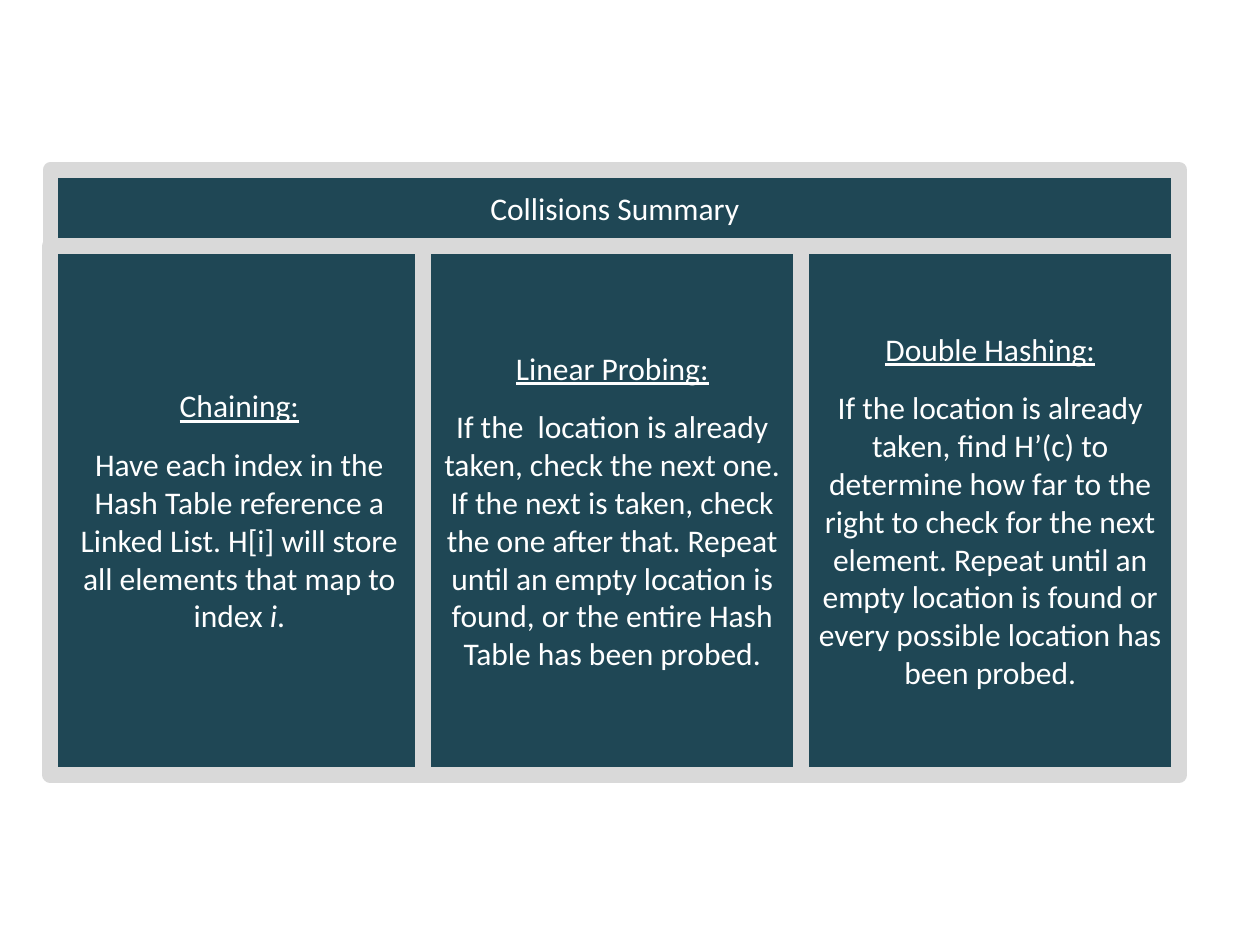
from pptx import Presentation
from pptx.dml.color import RGBColor
from pptx.enum import shapes, text
from pptx.util import Inches, Pt

NAVY, GRAY, WHITE = "1F4755", "D9D9D9", "FFFFFF"
LEFT, TOP, WIDTH = 0.4, 1.35, 8.96
HEADER_H, PANEL_W, PANEL_H = 0.6, 3, 4.2

PANELS = [
    (LEFT, "Chaining:",
     [("Have each index in the Hash Table reference a Linked List. "
       "H[i] will store all elements that map to index ", False),
      ("i", True), (".", False)]),
    (LEFT + WIDTH - 2 * PANEL_W, "Linear Probing:",
     [("If the  location is already taken, check the next one. "
       "If the next is taken, check the one after that. Repeat until an "
       "empty location is found, or the entire Hash Table has been probed.",
       False)]),
    (LEFT + WIDTH - PANEL_W, "Double Hashing:",
     [("If the location is already taken, find H’(c) to determine how far "
       "to the right to check for the next element. Repeat until an empty "
       "location is found or every possible location has been probed.",
       False)]),
]


def rgb(value):
    return RGBColor.from_string(value)


def style_box(sp):
    sp.fill.solid()
    sp.fill.fore_color.rgb = rgb(NAVY)
    sp.line.color.rgb = rgb(GRAY)
    sp.line.width = Pt(9)
    tf = sp.text_frame
    tf.word_wrap = True
    tf.auto_size = text.MSO_AUTO_SIZE.NONE
    tf.vertical_anchor = text.MSO_ANCHOR.MIDDLE
    return tf


def style_paragraph(p):
    p.alignment = text.PP_ALIGN.CENTER
    p.font.name = "Calibri"
    p.font.size = Pt(18)
    p.font.color.rgb = rgb(WHITE)


def add_header(s, title):
    sp = s.shapes.title
    sp.left, sp.top = Inches(LEFT), Inches(TOP)
    sp.width, sp.height = Inches(WIDTH), Inches(HEADER_H)
    p = style_box(sp).paragraphs[0]
    p.text = title
    style_paragraph(p)


def add_panel(s, left, heading, body):
    sp = s.shapes.add_shape(
        shapes.MSO_SHAPE.RECTANGLE, Inches(left), Inches(TOP + HEADER_H),
        Inches(PANEL_W), Inches(PANEL_H))
    sp.shadow.inherit = False
    tf = style_box(sp)
    p = tf.paragraphs[0]
    p.text = heading
    style_paragraph(p)
    p.font.underline = True
    p.space_after = Pt(12)
    p = tf.add_paragraph()
    style_paragraph(p)
    for words, italic in body:
        r = p.add_run()
        r.text = words
        if italic:
            r.font.italic = True


def main():
    prs = Presentation()
    prs.slide_width, prs.slide_height = Inches(10), Inches(7.5)
    s = prs.slides.add_slide(prs.slide_layouts[5])
    add_header(s, "Collisions Summary")
    for panel in PANELS:
        add_panel(s, *panel)
    prs.save("out.pptx")


if __name__ == "__main__":
    main()
